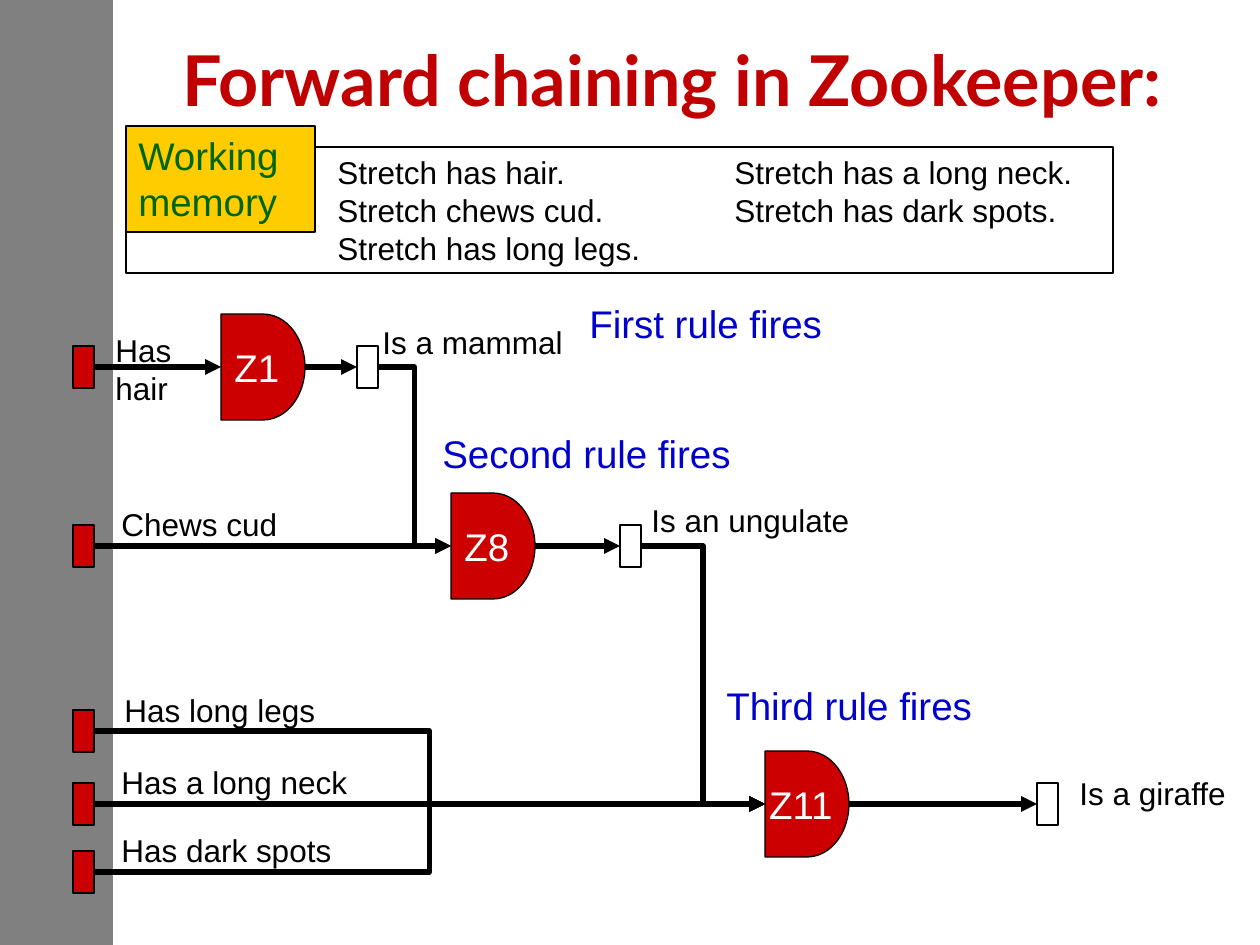
from lxml.etree import SubElement
from pptx import Presentation
from pptx.dml.color import RGBColor
from pptx.enum.shapes import MSO_CONNECTOR, MSO_SHAPE
from pptx.enum.text import MSO_ANCHOR, MSO_AUTO_SIZE, PP_ALIGN
from pptx.oxml.ns import qn
from pptx.util import Emu, Pt

PX_PER_INCH = 126
SLIDE_W, SLIDE_H = 1260, 945

BLACK = RGBColor(0x00, 0x00, 0x00)
WHITE = RGBColor(0xFF, 0xFF, 0xFF)
GRAY = RGBColor(0x80, 0x80, 0x80)
RED = RGBColor(0xCC, 0x00, 0x00)
TITLE_RED = RGBColor(0xC0, 0x00, 0x00)
GOLD = RGBColor(0xFF, 0xCC, 0x00)
GREEN = RGBColor(0x00, 0x66, 0x00)
BLUE = RGBColor(0x00, 0x00, 0xCC)

LINE_PITCH = {18: 38, 22: 47}
FACT_X, FACT_W, FACT_H = 73, 21, 42
GATE_W, GATE_H = 84, 106
BOTTOM_ROW = 804

# left, vertical centre
GATES = {"Z1": (221, 367), "Z8": (451, 546), "Z11": (765, BOTTOM_ROW)}
# gate it feeds, vertical centre
GIVEN_FACTS = [("Z1", 367), ("Z8", 546), ("Z11", 731),
               ("Z11", BOTTOM_ROW), ("Z11", 872)]
# gate that concludes it, left, gate it feeds
DERIVED_FACTS = [("Z1", 357, "Z8"), ("Z8", 620, "Z11"), ("Z11", 1037, None)]

# left, top, width, lines
LABELS = [
    (103, 325, 82, ["Has", "hair"]),
    (370, 317, 208, ["Is a mammal"]),
    (109, 499, 183, ["Chews cud"]),
    (639, 495, 232, ["Is an ungulate"]),
    (112, 685, 219, ["Has long legs"]),
    (109, 757, 254, ["Has a long neck"]),
    (109, 825, 238, ["Has dark spots"]),
    (1067, 768, 199, ["Is a giraffe"]),
]
MEMORY = [
    (325, 147, 345, ["Stretch has hair.", "Stretch chews cud.",
                     "Stretch has long legs."]),
    (722, 147, 381, ["Stretch has a long neck.", "Stretch has dark spots."]),
]
FIRINGS = [
    (577, 294, 297, ["First rule fires"]),
    (430, 424, 338, ["Second rule fires"]),
    (714, 676, 307, ["Third rule fires"]),
]


def px(n):
    return Emu(round(n * 914400 / PX_PER_INCH))


def write(tf, lines, size, color, align=PP_ALIGN.LEFT, font="Arial", bold=False):
    for i, line in enumerate(lines):
        p = tf.add_paragraph() if i else tf.paragraphs[0]
        p.alignment = align
        r = p.add_run()
        r.text = line
        r.font.name = font
        r.font.size = Pt(size)
        r.font.bold = bold
        r.font.color.rgb = color


def add_title(s, text):
    title = s.shapes.title
    title.left, title.top, title.width, title.height = map(px, (63, 21, 1218, 116))
    tf = title.text_frame
    tf.vertical_anchor = MSO_ANCHOR.MIDDLE
    write(tf, [text], 40, TITLE_RED, PP_ALIGN.CENTER, "Lato", True)


def add_block(s, x, y, w, h, fill, outlined=True, preset=MSO_SHAPE.RECTANGLE):
    sp = s.shapes.add_shape(preset, px(x), px(y), px(w), px(h))
    sp.shadow.inherit = False
    sp.fill.solid()
    sp.fill.fore_color.rgb = fill
    if outlined:
        sp.line.color.rgb = BLACK
        sp.line.width = Pt(0.75)
    else:
        sp.line.fill.background()
    return sp


def add_text(s, x, y, w, lines, size=18, color=BLACK):
    h = 13 + LINE_PITCH[size] * len(lines)
    tf = s.shapes.add_textbox(px(x), px(y), px(w), px(h)).text_frame
    tf.word_wrap = False
    tf.auto_size = MSO_AUTO_SIZE.SHAPE_TO_FIT_TEXT
    write(tf, lines, size, color)


def add_fact(s, x, cy, fill):
    return add_block(s, x, cy - FACT_H // 2, FACT_W, FACT_H, fill)


def add_gate(s, name, x, cy):
    sp = add_block(s, x, cy - GATE_H // 2, GATE_W, GATE_H, RED,
                   preset=MSO_SHAPE.FLOWCHART_DELAY)
    tf = sp.text_frame
    tf.word_wrap = False
    tf.vertical_anchor = MSO_ANCHOR.MIDDLE
    write(tf, [name], 22, WHITE, PP_ALIGN.CENTER)
    return sp


def add_arrow(s, source, target):
    """Join the right side of source to the left side of target."""
    y1 = source.top + source.height // 2
    y2 = target.top + target.height // 2
    level = abs(y1 - y2) < px(1)
    kind = MSO_CONNECTOR.STRAIGHT if level else MSO_CONNECTOR.ELBOW
    c = s.shapes.add_connector(kind, source.left + source.width, y1,
                               target.left, y2)
    c.begin_connect(source, 3)
    c.end_connect(target, 1)
    c.line.color.rgb = BLACK
    c.line.width = Pt(3)
    sp_pr = c._element.spPr
    SubElement(sp_pr.find(qn("a:ln")), qn("a:tailEnd"), type="triangle")
    SubElement(sp_pr, qn("a:effectLst"))


def add_working_memory(s):
    add_block(s, 126, 147, 987, 126, WHITE)
    tf = add_block(s, 126, 126, 189, 106, GOLD).text_frame
    tf.vertical_anchor = MSO_ANCHOR.TOP
    write(tf, ["Working", "memory"], 22, GREEN)
    for column in MEMORY:
        add_text(s, *column)


def add_inference_net(s):
    gates = {name: add_gate(s, name, x, cy) for name, (x, cy) in GATES.items()}
    for gate, cy in GIVEN_FACTS:
        add_arrow(s, add_fact(s, FACT_X, cy, RED), gates[gate])
    for gate, x, next_gate in DERIVED_FACTS:
        fact = add_fact(s, x, GATES[gate][1], WHITE)
        add_arrow(s, gates[gate], fact)
        if next_gate:
            add_arrow(s, fact, gates[next_gate])
    for label in LABELS:
        add_text(s, *label)
    for firing in FIRINGS:
        add_text(s, *firing, size=22, color=BLUE)


def main():
    prs = Presentation()
    prs.slide_width, prs.slide_height = px(SLIDE_W), px(SLIDE_H)
    s = prs.slides.add_slide(prs.slide_layouts[5])
    add_block(s, 0, 0, 113, SLIDE_H, GRAY, outlined=False)
    add_title(s, "Forward chaining in Zookeeper:")
    add_working_memory(s)
    add_inference_net(s)
    prs.save("out.pptx")


if __name__ == "__main__":
    main()
